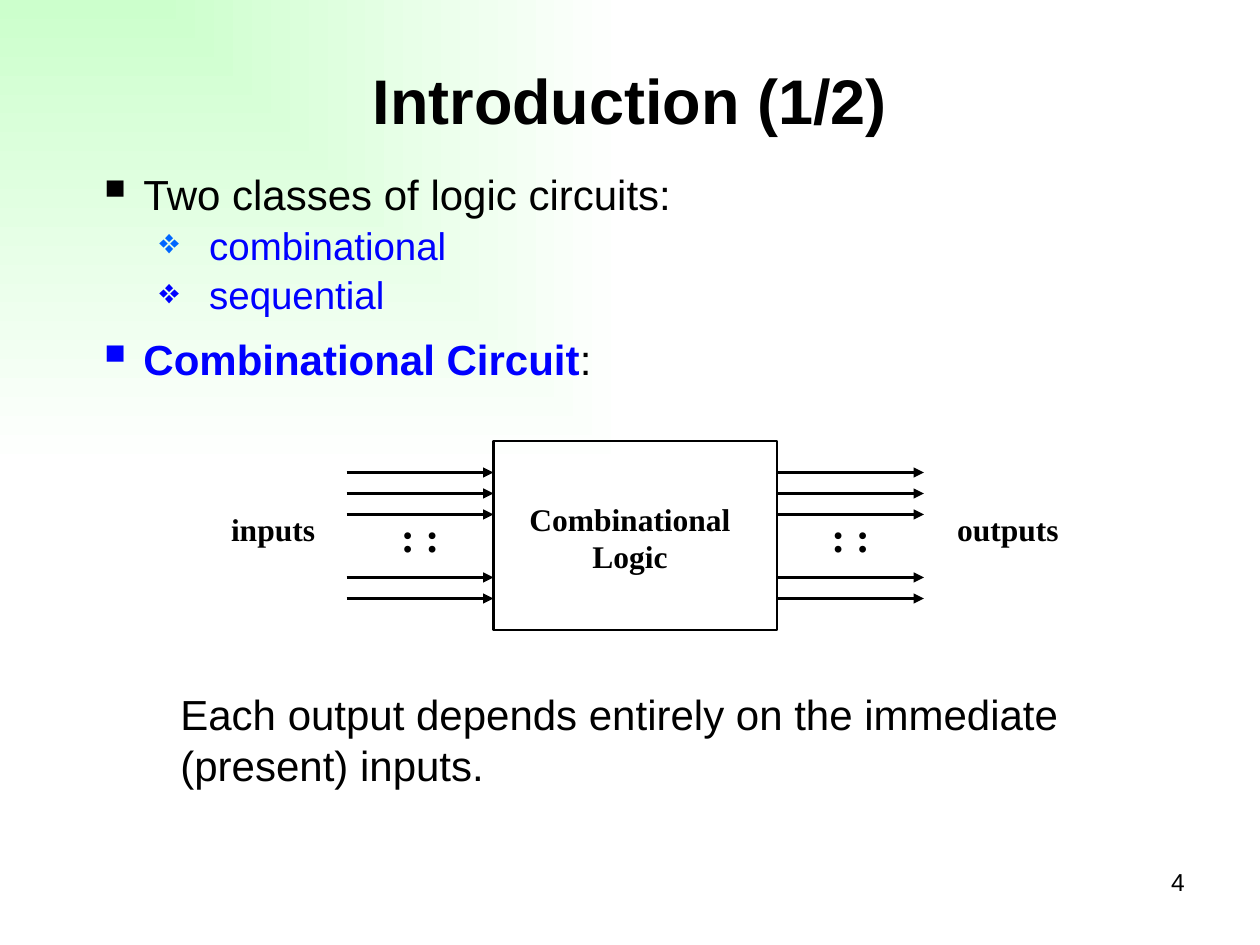
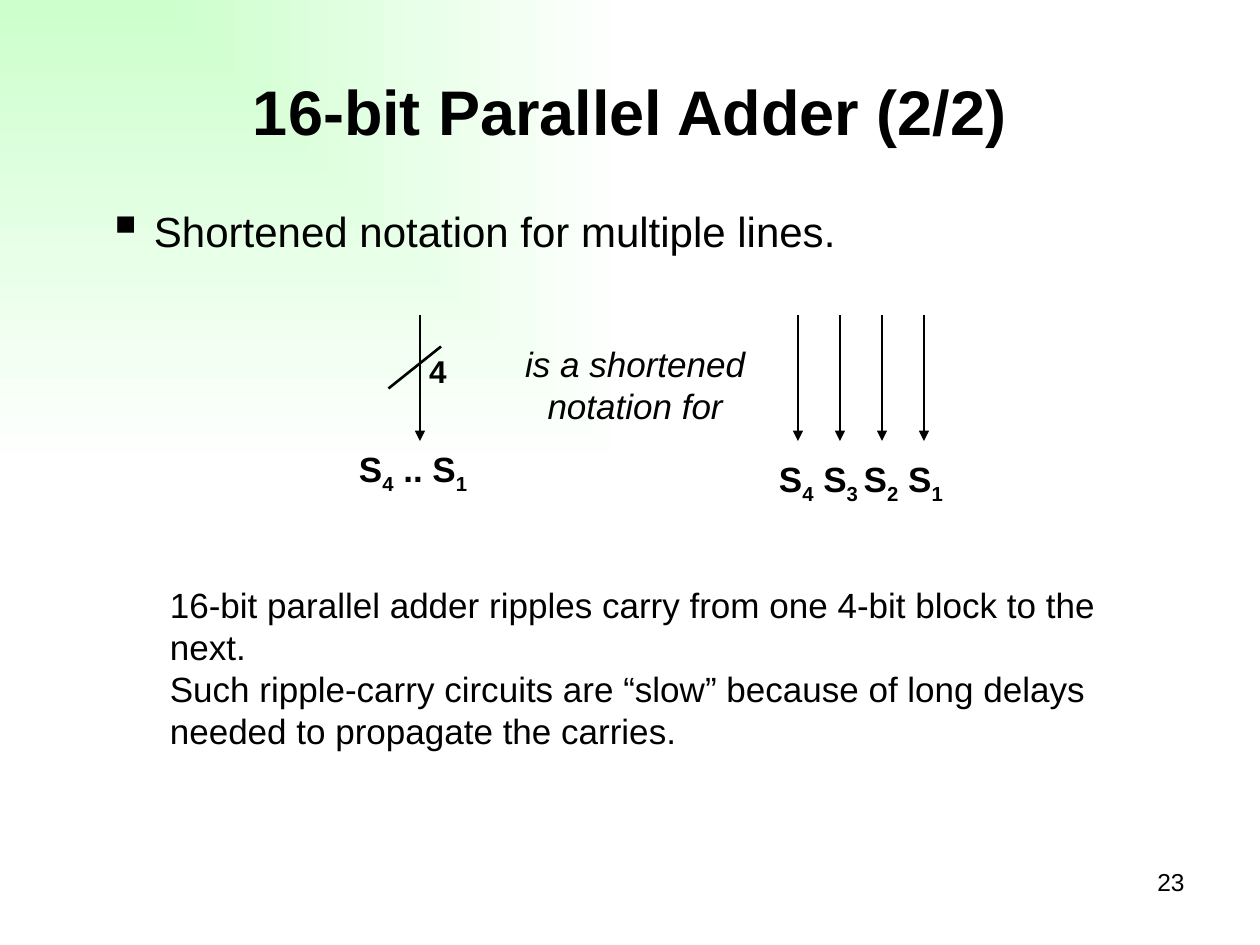
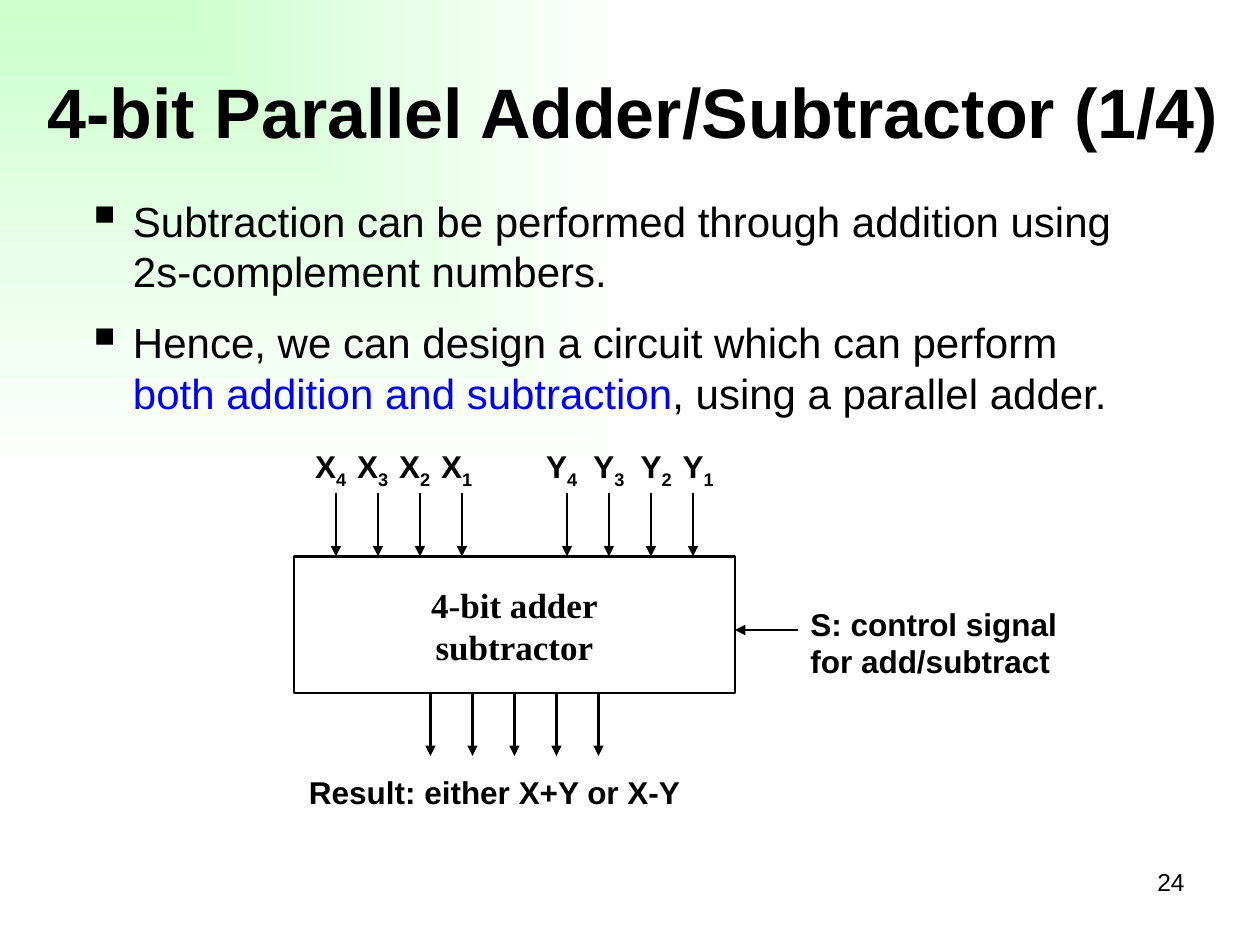
"""Build three lecture slides on combinational circuits and parallel adders."""
import dataclasses
import typing

import lxml.etree
import pptx
import pptx.dml.color
import pptx.enum.shapes
import pptx.enum.text
import pptx.oxml.ns
import pptx.slide
import pptx.text.text
import pptx.util

COLORS = {"black": "000000", "blue": "0000FF", "azure": "0066FF", "mint": "CCFFCC", "white": "FFFFFF"}
SANS = "Arial"
SERIF = "Times New Roman"
GRID_CM = 2.54 / 12
ALIGN = pptx.enum.text.PP_ALIGN
ANCHOR = pptx.enum.text.MSO_ANCHOR


@dataclasses.dataclass(frozen=True)
class Area:
    """Left, top, width and height in grid units."""
    left: float
    top: float
    width: float
    height: float

    def lengths(self) -> list[int]:
        return [grid(value) for value in dataclasses.astuple(self)]


@dataclasses.dataclass(frozen=True)
class Run:
    """A stretch of text with its own format."""
    text: str
    color: str = "black"
    bold: bool = False
    subscript: bool = False


@dataclasses.dataclass(frozen=True)
class Bullet:
    """Sign, relative size and indents of a bulleted paragraph."""
    character: str
    percent: int
    margin_cm: float
    hanging_cm: float
    level: int = 0


@dataclasses.dataclass(frozen=True)
class Item:
    """One paragraph of a bulleted list."""
    runs: tuple[Run, ...]
    bullet: Bullet
    size: float = 24
    before: float = 0


SQUARE = Bullet("▪", 120, 0.95, 0.95)
DIAMOND = Bullet("❖", 90, 2.06, 0.79, level=1)


def grid(units: float) -> pptx.util.Cm:
    """Turn grid units into a length."""
    return pptx.util.Cm(units * GRID_CM)


def rgb(name: str) -> pptx.dml.color.RGBColor:
    """Look up a named colour."""
    return pptx.dml.color.RGBColor.from_string(COLORS[name])


def add_element(parent: typing.Any, tag: str, **attributes: str) -> typing.Any:
    """Append an XML element to its parent."""
    return lxml.etree.SubElement(parent, pptx.oxml.ns.qn(tag), attributes)


def add_run(paragraph: pptx.text.text._Paragraph, text: str, *, size: float, font: str = SANS,
            color: str = "black", bold: bool = False, italic: bool = False,
            subscript: bool = False) -> None:
    """Append formatted text to a paragraph."""
    run = paragraph.add_run()
    run.text = text
    run.font.name, run.font.size = font, pptx.util.Pt(size)
    run.font.bold, run.font.italic = bold, italic
    run.font.color.rgb = rgb(color)
    if subscript:
        run._r.get_or_add_rPr().set("baseline", "-25000")


def add_frame(slide: pptx.slide.Slide, area: Area) -> pptx.text.text.TextFrame:
    """Add a wrapping text box and return its frame."""
    frame = slide.shapes.add_textbox(*area.lengths()).text_frame
    frame.word_wrap = True
    return frame


def add_text(slide: pptx.slide.Slide, area: Area, *lines: str, align: ALIGN = ALIGN.LEFT,
             anchor: ANCHOR = ANCHOR.TOP, **format: typing.Any) -> None:
    """Add a text box with one paragraph a line."""
    frame = add_frame(slide, area)
    frame.vertical_anchor = anchor
    for index, line in enumerate(lines):
        paragraph = frame.add_paragraph() if index else frame.paragraphs[0]
        paragraph.alignment = align
        add_run(paragraph, line, **format)


def add_signals(slide: pptx.slide.Slide, area: Area, *parts: str, size: float,
                align: ALIGN = ALIGN.LEFT) -> None:
    """Add signal names whose every second part is a subscript."""
    paragraph = add_frame(slide, area).paragraphs[0]
    paragraph.alignment = align
    for index, part in enumerate(parts):
        add_run(paragraph, part, size=size, bold=True, subscript=index % 2 == 1)


def add_list(slide: pptx.slide.Slide, area: Area, items: list[Item],
             line_spacing: float = 1.0) -> None:
    """Add a bulleted list."""
    frame = add_frame(slide, area)
    for index, item in enumerate(items):
        paragraph = frame.add_paragraph() if index else frame.paragraphs[0]
        paragraph.level = item.bullet.level
        paragraph.line_spacing = line_spacing
        paragraph.space_before = pptx.util.Pt(item.before)
        properties = paragraph._p.get_or_add_pPr()
        properties.set("marL", str(pptx.util.Cm(item.bullet.margin_cm)))
        properties.set("indent", str(-pptx.util.Cm(item.bullet.hanging_cm)))
        add_element(properties, "a:buSzPct", val=str(item.bullet.percent * 1000))
        add_element(properties, "a:buChar", char=item.bullet.character)
        for run in item.runs:
            add_run(paragraph, run.text, size=item.size, color=run.color, bold=run.bold)


def add_line(slide: pptx.slide.Slide, start: tuple[float, float], end: tuple[float, float],
             width: float = 1.25, arrow: bool = True) -> None:
    """Draw a line, by default with an arrowhead at its end."""
    connector = slide.shapes.add_connector(
        pptx.enum.shapes.MSO_CONNECTOR.STRAIGHT, *[grid(value) for value in (*start, *end)])
    connector.line.color.rgb = rgb("black")
    connector.line.width = pptx.util.Pt(width)
    properties = connector._element.spPr
    if arrow:
        add_element(properties.find(pptx.oxml.ns.qn("a:ln")), "a:tailEnd", type="triangle")
    add_element(properties, "a:effectLst")


def add_down_arrows(slide: pptx.slide.Slide, columns: typing.Iterable[float], top: float,
                    bottom: float, width: float = 1.25) -> None:
    """Draw parallel arrows that point down."""
    for column in columns:
        add_line(slide, (column, top), (column, bottom), width)


def add_block(slide: pptx.slide.Slide, area: Area) -> None:
    """Draw the outline of a circuit block."""
    block = slide.shapes.add_shape(pptx.enum.shapes.MSO_SHAPE.RECTANGLE, *area.lengths())
    block.shadow.inherit = False
    block.fill.background()
    block.line.color.rgb = rgb("black")
    block.line.width = pptx.util.Pt(1.5)


def set_background(master: pptx.slide.SlideMaster) -> None:
    """Give all slides a gradient that spreads from the top left corner."""
    fill = master.background.fill
    fill.gradient()
    for stop, name, position in zip(fill.gradient_stops, ("mint", "white"), (0, 1)):
        stop.color.rgb = rgb(name)
        stop.position = position
    linear = next(master.element.iter(pptx.oxml.ns.qn("a:lin")))
    gradient = linear.getparent()
    gradient.remove(linear)
    shade = add_element(gradient, "a:path", path="rect")
    add_element(shade, "a:fillToRect", r="100000", b="100000")


def add_slide(presentation: typing.Any, title: str, number: int, title_area: Area,
              title_size: float = 36) -> pptx.slide.Slide:
    """Add a blank slide with its title and number."""
    slide = presentation.slides.add_slide(presentation.slide_layouts[6])
    add_text(slide, Area(86, 82, 28, 6.2), str(number), size=14, align=ALIGN.RIGHT)
    add_text(slide, title_area, title, size=title_size, bold=True, align=ALIGN.CENTER,
             anchor=ANCHOR.MIDDLE)
    return slide


def build_introduction(presentation: typing.Any) -> None:
    """Build the slide on classes of logic circuits."""
    slide = add_slide(presentation, "Introduction (1/2)", 4, Area(9, 2, 102, 15))
    add_list(slide, Area(8, 16, 102, 23), [
        Item((Run("Two classes of logic circuits:"),), SQUARE),
        Item((Run(" ", "azure"), Run("combinational ", "blue")), DIAMOND, 22, 4.4),
        Item((Run(" sequential", "blue"),), DIAMOND, 22, 4.4),
        Item((Run("Combinational Circuit", "blue", bold=True), Run(":")), SQUARE, before=12),
    ], line_spacing=0.9)
    add_text(slide, Area(16, 65, 90, 12),
             "Each output depends entirely on the immediate (present) inputs.", size=24)
    add_block(slide, Area(47, 42, 27, 18))
    label = {"size": 18, "font": SERIF, "bold": True, "align": ALIGN.CENTER}
    add_text(slide, Area(48, 47, 24, 8.4), "Combinational", "Logic", **label)
    for name, name_left, line_left, dots_left in (("inputs", 19, 33, 37), ("outputs", 89, 74, 78)):
        for row in (45, 47, 49, 55, 57):
            add_line(slide, (line_left, row), (line_left + 14, row))
        add_text(slide, Area(dots_left, 48, 8, 6), ": :", size=24, font=SERIF, bold=True)
        add_text(slide, Area(name_left, 48, 14, 4.8), name, **label)


def build_notation(presentation: typing.Any) -> None:
    """Build the slide on the short notation for multiple lines."""
    slide = add_slide(presentation, "16-bit Parallel Adder (2/2)", 23, Area(9, 3, 102, 15))
    add_list(slide, Area(9, 19, 102, 7),
             [Item((Run("Shortened notation for multiple lines. "),), SQUARE)])
    add_text(slide, Area(15, 55, 96, 17),
             "16-bit parallel adder ripples carry from one 4-bit block to the next. ",
             "Such ripple-carry circuits are “slow” because of long delays needed to "
             "propagate the carries.", size=20)
    add_down_arrows(slide, (40, *range(76, 89, 4)), 30, 42, width=1.5)
    add_line(slide, (42, 33), (37, 37), width=1.5, arrow=False)
    add_text(slide, Area(39.7, 32.9, 4, 4.8), "4", size=18, bold=True)
    add_signals(slide, Area(33, 42, 15, 5.2), "S", "4", " .. S", "1", size=20)
    add_signals(slide, Area(73, 43, 19, 5.2), "S", "4", " S", "3 ", "S", "2", " S", "1", size=20)
    add_text(slide, Area(48, 32, 25, 9.2), "is a shortened notation for", size=20, italic=True,
             align=ALIGN.CENTER)


def build_subtractor(presentation: typing.Any) -> None:
    """Build the slide on the adder and subtractor circuit."""
    slide = add_slide(presentation, "4-bit Parallel Adder/Subtractor (1/4)", 24,
                      Area(1.3, 3, 118, 15), title_size=40)
    add_list(slide, Area(7, 18, 102, 23), [
        Item((Run("Subtraction can be performed through addition using "
                  "2s-complement numbers. "),), SQUARE),
        Item((Run("Hence, we can design a circuit which can perform "),
              Run("both addition and subtraction", "blue"),
              Run(", using a parallel adder.")), SQUARE, before=12),
    ])
    add_block(slide, Area(28, 53, 42, 13))
    add_text(slide, Area(34, 55, 30, 9.2), "4-bit adder", "subtractor", size=20, font=SERIF,
             bold=True, align=ALIGN.CENTER)
    for name, first_arrow, centers in (("X", 32, (31.5, 35.5, 39.5, 43.5)),
                                       ("Y", 54, (53.5, 58, 62.5, 66.5))):
        add_down_arrows(slide, range(first_arrow, first_arrow + 13, 4), 47, 53)
        for bit, center in zip("4321", centers):
            add_signals(slide, Area(center - 3.5, 42, 7, 4.8), name, bit, size=18,
                        align=ALIGN.CENTER)
    add_down_arrows(slide, range(41, 58, 4), 66, 72)
    add_line(slide, (76, 60), (70, 60))
    add_text(slide, Area(76, 57, 27, 8.4), "S: control signal for add/subtract", size=18,
             bold=True)
    add_text(slide, Area(26, 73, 43, 4.8), "Result: either X+Y or X-Y ", size=18, bold=True,
             align=ALIGN.CENTER)


def main() -> None:
    """Build and save the presentation."""
    presentation = pptx.Presentation()
    presentation.slide_width, presentation.slide_height = grid(120), grid(90)
    set_background(presentation.slide_master)
    build_introduction(presentation)
    build_notation(presentation)
    build_subtractor(presentation)
    presentation.save("out.pptx")


main()
